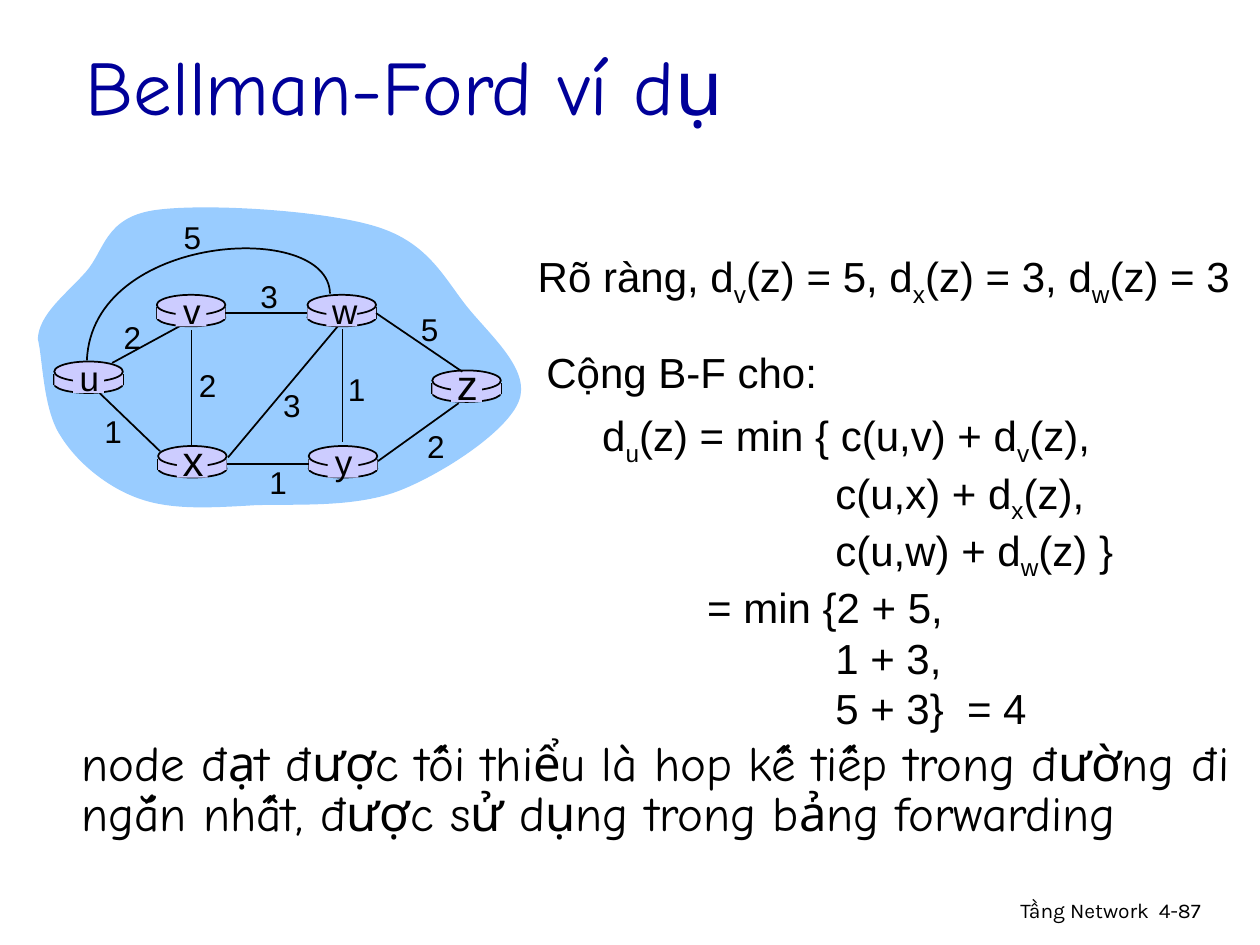
"""Build the Bellman-Ford example slide with its network graph and equations."""
from lxml import etree
from pptx import Presentation
from pptx import util as u
from pptx.dml.color import RGBColor
from pptx.enum import shapes, text
from pptx.oxml.ns import qn

COLORS = {"ink": "000000", "title": "000099", "cloud": "99CCFF", "router": "CCCCFF"}
LEFT, CENTER, RIGHT = text.PP_ALIGN.LEFT, text.PP_ALIGN.CENTER, text.PP_ALIGN.RIGHT

CLOUD = [
    (21.6, 193.7),
    (22.3, 179.3), (38.2, 167.8), (49, 155.5),
    (59.8, 143.3), (59.8, 124.6), (87.8, 120.2),
    (115.9, 115.9), (185.8, 120.2), (215.3, 129.6),
    (245.5, 139), (254.2, 159.8), (267.8, 176.4),
    (281.5, 193), (303.1, 211.7), (296.6, 229),
    (290.2, 246.2), (254.2, 270), (229, 280.1),
    (203.8, 290.2), (170.6, 288), (146.2, 288.7),
    (121, 290.2), (98.6, 291.6), (79.9, 285.1),
    (61.2, 278.6), (43.9, 264.2), (34.6, 249.1),
    (24.5, 234), (24.5, 205.2), (21.6, 193.7),
]
ARC = [(188.6, 167.8), (187.9, 125.3), (52.6, 133.2), (49.7, 205.9)]

ROUTERS = {
    "u": (31, 206.6, 20),
    "x": (90.3, 254.9, 24),
    "v": (89.6, 168.5, 20),
    "w": (175.7, 168.5, 20),
    "y": (176.4, 254.9, 20),
    "z": (247, 211.7, 24),
}
ROUTER_WIDTH = 39.2
LETTER_RISE = {20: 6.5, 24: 10.4}

BACK_EDGE = (64.1, 207.4, 106.6, 184.3)
EDGES = [
    (195.8, 187.9, 195.8, 252.7),
    (109.4, 188.6, 109.4, 255.6),
    (130.3, 261.4, 193, 186.5),
    (216, 263.5, 262.1, 230.4),
    (91.4, 257.8, 56.9, 224.6),
]
JOINED_EDGES = [("x", "y"), ("v", "w")]
EDGE_FROM_W = (214.9, 178.95, 264.2, 212.4)

COSTS = [
    ("2", 63.4, 178.1), ("2", 106.4, 205.5), ("1", 52.4, 231.8),
    ("3", 154.6, 217), ("1", 146.7, 261.2), ("1", 191.5, 207.7),
    ("2", 236.9, 240.5), ("5", 233.3, 173.5), ("3", 141.6, 154.8),
    ("5", 97.7, 121.3),
]

EQUATION = [
    ("d_u(z) = min { c(u,v) + d_v(z),", 0),
    ("c(u,x) + d_x(z),", 133.2),
    ("c(u,w) + d_w(z) }", 133.2),
    ("= min {2 + 5,", 60),
    ("1 + 3,", 133.2),
    ("5 + 3}  = 4", 133.2),
]
CONCLUSION = [
    ("node đạt được tối thiểu là hop kế tiếp trong đường đi", 0),
    ("ngắn nhất, được sử dụng trong bảng forwarding", 0),
]
TEXTS = [
    ("Tầng Network", (435.6, 509.2, 228.2, 22.3),
     dict(size=12, font="Karla", align=RIGHT, wrap=True)),
    ("4-87", (655.2, 509.2, 53.3, 21.6), dict(size=12, font="Karla", wrap=True)),
    ("Bellman-Ford ví dụ", (42, 13.7, 612, 69.1),
     dict(size=44, font="Comic Neue", ink="title", wrap=True,
          anchor=text.MSO_ANCHOR.MIDDLE)),
    ("Rõ ràng, d_v(z) = 5, d_x(z) = 3, d_w(z) = 3", (300.2, 139.7, 409.7, 40.3), {}),
    (EQUATION, (337, 230.6, 350, 192.2), dict(wrap=True)),
    (CONCLUSION, (39.6, 420, 671.8, 64.8),
     dict(size=28, font="Comic Neue", spacing=0.85)),
    ("Cộng B-F cho:", (305.1, 194.4, 169.2, 36), {}),
]


def color(name):
    return RGBColor.from_string(COLORS[name])


def paint(shape, fill=None, line=None):
    shape.shadow.inherit = False
    if fill:
        shape.fill.solid()
        shape.fill.fore_color.rgb = color(fill)
    else:
        shape.fill.background()
    if line:
        shape.line.color.rgb = color(line)
        shape.line.width = u.Pt(1)
    else:
        shape.line.fill.background()


def add_text(slide, content, box, size=24, font="Arial", ink="ink", align=LEFT,
             anchor=text.MSO_ANCHOR.TOP, wrap=False, spacing=None):
    frame = slide.shapes.add_textbox(*map(u.Pt, box)).text_frame
    frame.word_wrap = wrap
    frame.vertical_anchor = anchor
    lines = [(content, 0)] if isinstance(content, str) else content
    for index, (line, indent) in enumerate(lines):
        paragraph = frame.paragraphs[0] if index == 0 else frame.add_paragraph()
        paragraph.alignment = align
        if spacing:
            paragraph.line_spacing = spacing
        if indent:
            paragraph._p.get_or_add_pPr().set("marL", str(u.Pt(indent)))
        first, *rest = line.split("_")
        pieces = [(first, False)]
        for part in rest:
            pieces += [(part[0], True), (part[1:], False)]
        for piece, subscript in pieces:
            run = paragraph.add_run()
            run.text = piece
            run.font.size = u.Pt(size)
            run.font.name = font
            run.font.color.rgb = color(ink)
            if subscript:
                run._r.get_or_add_rPr().set("baseline", "-25000")


def add_line(slide, *ends):
    line = slide.shapes.add_connector(shapes.MSO_CONNECTOR.STRAIGHT, *map(u.Pt, ends))
    line.line.color.rgb = color("ink")
    line.line.width = u.Pt(1)
    etree.SubElement(line._element.spPr, qn("a:effectLst"))
    return line


def add_curve(slide, points, close=False, **style):
    start, *controls = [tuple(map(u.Pt, point)) for point in points]
    builder = slide.shapes.build_freeform(*start)
    builder.add_line_segments(controls, close=close)
    shape = builder.convert_to_shape()
    segments = list(shape._element.iter(qn("a:lnTo")))
    for index in range(0, len(segments), 3):
        bezier = etree.Element(qn("a:cubicBezTo"))
        segments[index].addprevious(bezier)
        for segment in segments[index:index + 3]:
            bezier.append(segment[0])
            segment.getparent().remove(segment)
    paint(shape, **style)


def add_preset(slide, kind, box, **style):
    shape = slide.shapes.add_shape(kind, *map(u.Pt, box))
    paint(shape, fill="router", **style)
    return shape


def add_router(slide, left, top):
    oval, rectangle = shapes.MSO_SHAPE.OVAL, shapes.MSO_SHAPE.RECTANGLE
    add_preset(slide, oval, (left, top + 7.9, ROUTER_WIDTH, 10.1), line="ink")
    for x in (left, left + ROUTER_WIDTH):
        add_line(slide, x, top + 7.2, x, top + 13.7)
    body = add_preset(slide, rectangle, (left, top + 7.2, ROUTER_WIDTH, 6.5))
    add_preset(slide, oval, (left, top, ROUTER_WIDTH, 11.5), line="ink")
    return body


def main():
    presentation = Presentation()
    presentation.slide_width, presentation.slide_height = u.Pt(720), u.Pt(540)
    slide = presentation.slides.add_slide(presentation.slide_layouts[6])

    add_curve(slide, CLOUD, close=True, fill="cloud")
    add_line(slide, *BACK_EDGE)
    bodies = {name: add_router(slide, left, top)
              for name, (left, top, size) in ROUTERS.items()}
    for edge in EDGES:
        add_line(slide, *edge)
    for start, end in JOINED_EDGES:
        edge = add_line(slide, 0, 0, 0, 0)
        edge.begin_connect(bodies[start], 3)
        edge.end_connect(bodies[end], 1)
    add_line(slide, *EDGE_FROM_W).begin_connect(bodies["w"], 3)
    add_curve(slide, ARC, line="ink")

    for name, (left, top, size) in ROUTERS.items():
        add_preset(slide, shapes.MSO_SHAPE.RECTANGLE, (left + 10.8, top + 1.4, 17.6, 16.6))
        add_text(slide, name, (left + 7, top - LETTER_RISE[size], 26, size * 1.2 + 7.2),
                 size=size, align=CENTER)
    for cost, left, top in COSTS:
        add_text(slide, cost, (left, top, 24.5, 28.8), size=18, align=CENTER)
    for content, box, style in TEXTS:
        add_text(slide, content, box, **style)

    presentation.save("out.pptx")


if __name__ == "__main__":
    main()
